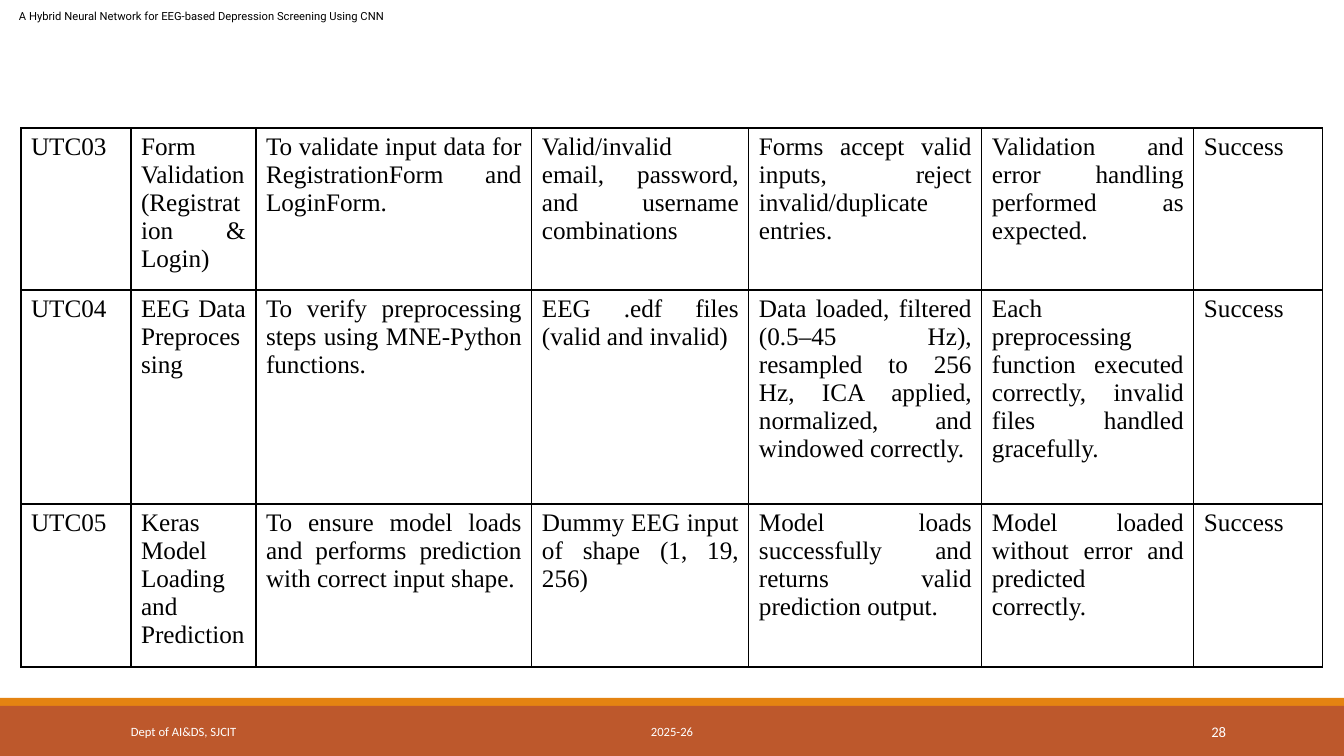
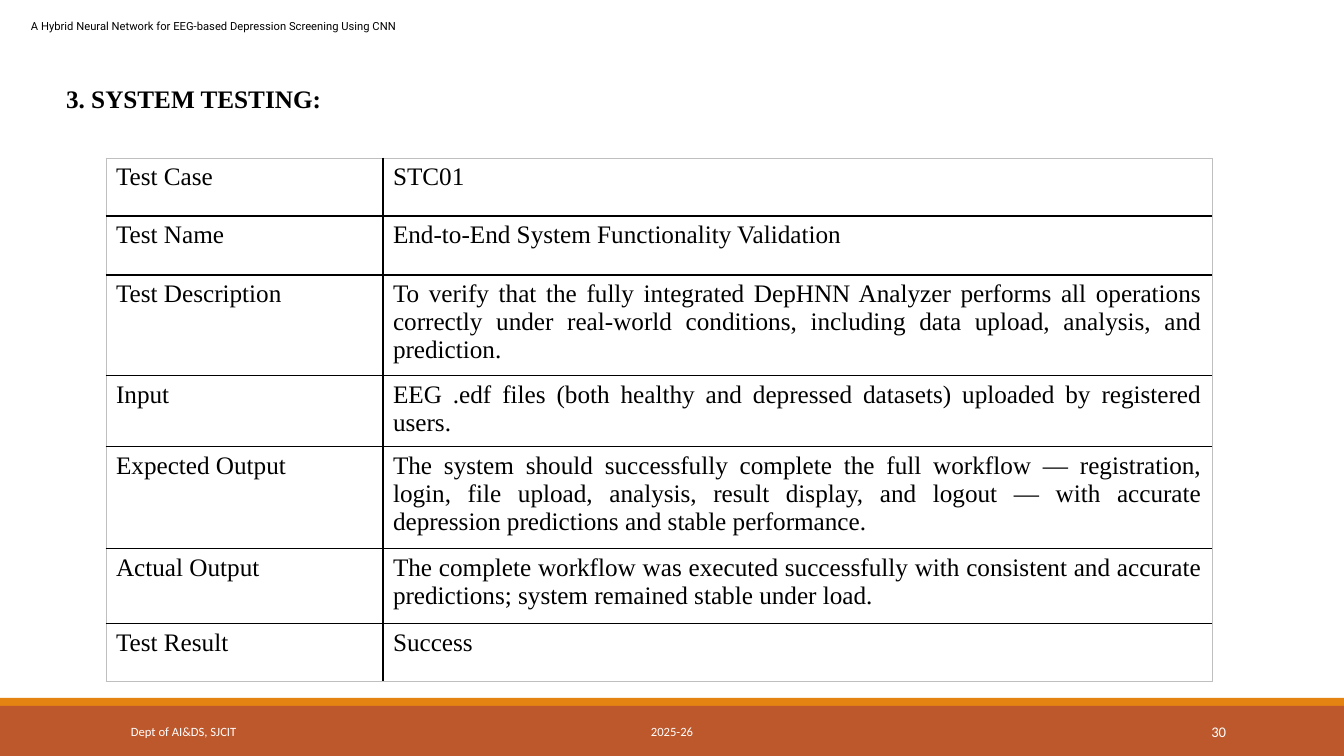
import pptx
import pptx.util
import pptx.dml.color
import pptx.enum.shapes
import pptx.enum.text
import pptx.oxml
import pptx.oxml.ns

SCALE = 12192000 / 1344
ALIGN = pptx.enum.text.PP_ALIGN
ANCHOR = pptx.enum.text.MSO_ANCHOR
BLACK, WHITE, GREY = "000000", "FFFFFF", "BFBFBF"
RUST, AMBER = "BD582C", "E48312"

TOPIC = "A Hybrid Neural Network for EEG-based Depression Screening Using CNN"
UNITS = [
    ["UTC03", "Form Validation (Registration & Login)",
     "To validate input data for RegistrationForm and LoginForm.",
     "Valid/invalid email, password, and username combinations",
     "Forms accept valid inputs, reject invalid/duplicate entries.",
     "Validation and error handling performed as expected.", "Success"],
    ["UTC04", "EEG Data Preprocessing",
     "To verify preprocessing steps using MNE-Python functions.",
     "EEG .edf files (valid and invalid)",
     "Data loaded, filtered (0.5–45 Hz), resampled to 256 Hz, ICA applied, "
     "normalized, and windowed correctly.",
     "Each preprocessing function executed correctly, invalid files handled gracefully.",
     "Success"],
    ["UTC05", "Keras Model Loading and Prediction",
     "To ensure model loads and performs prediction with correct input shape.",
     "Dummy EEG input of shape (1, 19, 256)",
     "Model loads successfully and returns valid prediction output.",
     "Model loaded without error and predicted correctly.", "Success"],
]
SYSTEM = [
    ["Test Case", "STC01"],
    ["Test Name", "End-to-End System Functionality Validation"],
    ["Test Description",
     "To verify that the fully integrated DepHNN Analyzer performs all operations correctly "
     "under real-world conditions, including data upload, analysis, and prediction."],
    ["Input",
     "EEG .edf files (both healthy and depressed datasets) uploaded by registered users."],
    ["Expected Output",
     "The system should successfully complete the full workflow — registration, login, "
     "file upload, analysis, result display, and logout — with accurate depression "
     "predictions and stable performance."],
    ["Actual Output",
     "The complete workflow was executed successfully with consistent and accurate "
     "predictions; system remained stable under load."],
    ["Test Result", "Success"],
]


def px(num):
    return pptx.util.Emu(round(num * SCALE))


def hue(code):
    return pptx.dml.color.RGBColor.from_string(code)


def apply(item, form):
    for name, value in form.items():
        setattr(item, name, value)


class Deck:
    foot = {"name": "Calibri", "size": pptx.util.Pt(9)}
    page = {"name": "Calibri", "size": pptx.util.Pt(10.5)}
    head = {"name": "Roboto", "size": pptx.util.Pt(8)}
    cell = {"name": "Times New Roman", "size": pptx.util.Pt(18), "bold": False}
    title = {**cell, "bold": True}

    def __init__(self):
        self.show = pptx.Presentation()
        apply(self.show, {"slide_width": px(1344), "slide_height": px(756)})
        self.slide = None

    def start(self, number, left, top, layout):
        """Open a slide with its running header, placed at left and top, and its footer."""
        first = self.slide is None
        self.slide = self.show.slides.add_slide(self.show.slide_layouts[layout])
        if first:
            self.band(706, 50, RUST)
            self.band(698, 8, AMBER)
        self.text("Dept of AI&DS, SJCIT", (121, 712, 272, 40), self.foot, WHITE)
        self.text("2025-26", (406, 712, 532, 40), self.foot, WHITE, ALIGN.CENTER)
        self.text(str(number), (1092, 712, 144, 40), self.page, WHITE, ALIGN.RIGHT)
        self.text(TOPIC, (left, top, 1008 - left, 24), self.head, BLACK, anchor=ANCHOR.TOP)

    def band(self, top, height, code):
        """Draw a full-width bar and move it to the master, so every slide has it."""
        bar = self.slide.shapes.add_shape(
            pptx.enum.shapes.MSO_SHAPE.RECTANGLE, px(0), px(top), px(1344), px(height))
        bar.shadow.inherit = False
        bar.fill.solid()
        bar.fill.fore_color.rgb = hue(code)
        bar.line.fill.background()
        self.show.slide_master.shapes.element.insert(2, bar.element)

    def style(self, para, words, form, code, align):
        """Set the words of a paragraph and their format."""
        para.text = words
        para.alignment = align
        apply(para.font, form)
        para.font.color.rgb = hue(code)

    def text(self, words, area, form, code, align=ALIGN.LEFT, anchor=ANCHOR.MIDDLE):
        box = self.slide.shapes.add_textbox(*map(px, area))
        apply(box.text_frame, {"word_wrap": True, "vertical_anchor": anchor})
        self.style(box.text_frame.paragraphs[0], words, form, code, align)

    def heading(self, words, area):
        box = self.slide.shapes.title
        apply(box, dict(zip(("left", "top", "width", "height"), map(px, area))))
        apply(box.text_frame, {"word_wrap": True, "vertical_anchor": ANCHOR.TOP,
                               "auto_size": pptx.enum.text.MSO_AUTO_SIZE.NONE})
        self.style(box.text_frame.paragraphs[0], words, self.title, BLACK, ALIGN.LEFT)

    def border(self, cell, side, code, width):
        space = pptx.oxml.ns.nsdecls("a")
        cell.get_or_add_tcPr().append(pptx.oxml.parse_xml(
            f'<a:ln{side} {space} w="{pptx.util.Pt(width)}"><a:solidFill>'
            f'<a:srgbClr val="{code}"/></a:solidFill></a:ln{side}>'))

    def table(self, rows, left, top, wide, high, rim=(BLACK, 1)):
        """Draw a grid with black inner lines; rim is the outer colour and width."""
        frame = self.slide.shapes.add_table(
            len(high), len(wide), px(left), px(top), px(sum(wide)), px(sum(high)))
        grid = frame.table
        apply(grid, {"first_row": False, "horz_banding": False})
        for col, width in zip(grid.columns, wide):
            col.width = px(width)
        for row, height in zip(grid.rows, high):
            row.height = px(height)
        for r, row in enumerate(rows):
            for c, words in enumerate(row):
                cell = grid.cell(r, c)
                self.style(cell.text_frame.paragraphs[0], words, self.cell, BLACK,
                           ALIGN.JUSTIFY)
                edges = {"L": c == 0, "R": c == len(wide) - 1,
                         "T": r == 0, "B": r == len(high) - 1}
                # python-pptx has no border API, and line elements must precede the fill
                for side, outer in edges.items():
                    self.border(cell._tc, side, *(rim if outer else (BLACK, 1)))
                cell.fill.background()


def main():
    deck = Deck()
    deck.start(28, 9, 4, layout=6)
    deck.table(UNITS, 21, 128, [110, 125, 276, 217, 233, 212, 129], [162, 214, 163])

    deck.start(30, 21, 14, layout=5)
    deck.heading("3. SYSTEM TESTING:", (56, 78, 952, 40))
    deck.table(SYSTEM, 106, 158, [277, 829], [58, 59, 100, 71, 102, 75, 58], (GREY, 0.5))
    deck.show.save("out.pptx")


if __name__ == "__main__":
    main()
